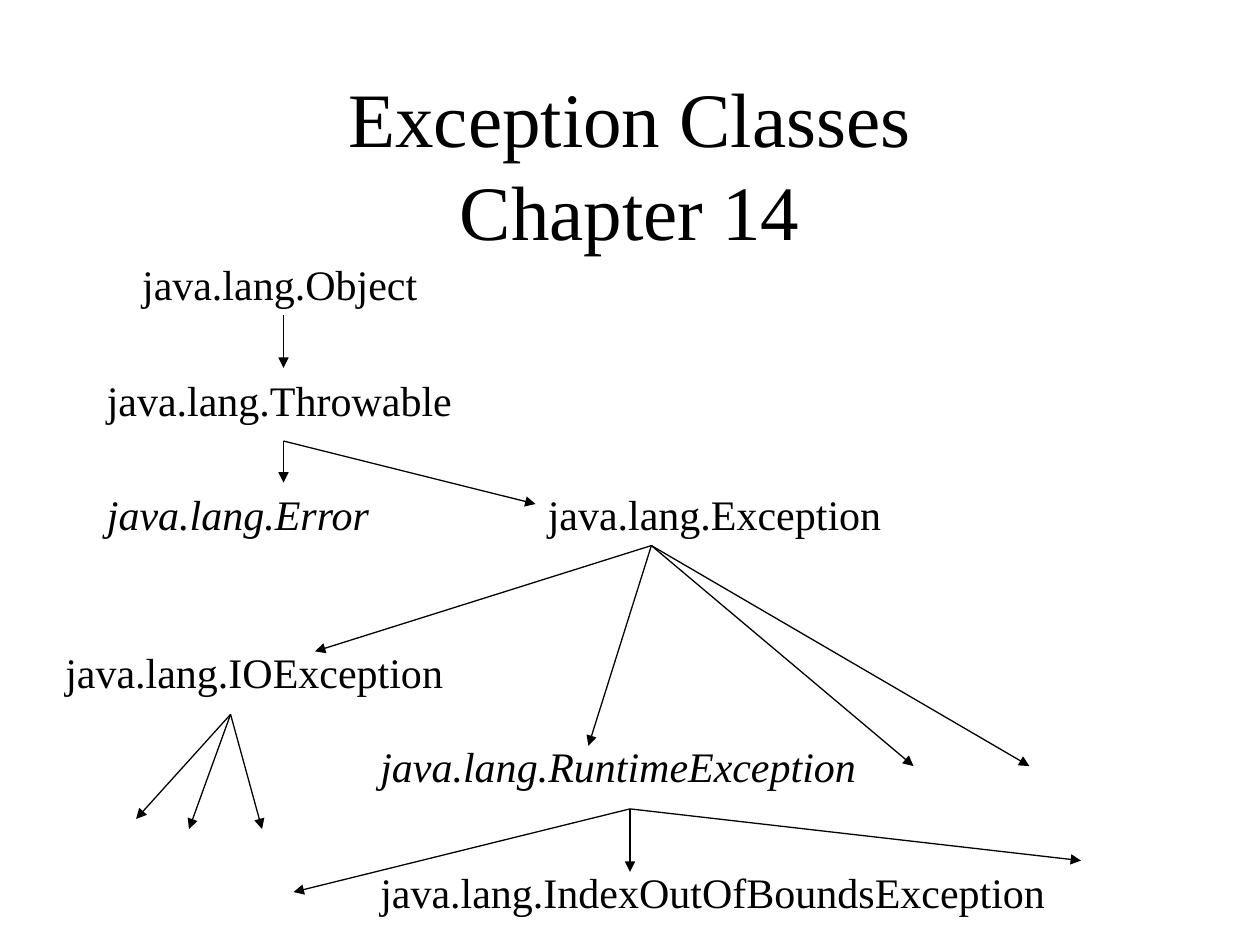
import pptx
import pptx.util
import pptx.dml.color
import pptx.enum.shapes
import pptx.enum.text
import lxml.etree
from pptx.util import Inches


def color(value):
    return pptx.dml.color.RGBColor.from_string(value)


def add_text(box, lines, size, italic=False, centered=False):
    left, top, width, height = box
    shape = slide.shapes.add_textbox(Inches(left), Inches(top), Inches(width), Inches(height))
    frame = shape.text_frame
    frame.word_wrap = centered
    paragraph = frame.paragraphs[0]
    if centered:
        frame.vertical_anchor = pptx.enum.text.MSO_ANCHOR.MIDDLE
        paragraph.alignment = pptx.enum.text.PP_ALIGN.CENTER
    else:
        frame.auto_size = pptx.enum.text.MSO_AUTO_SIZE.SHAPE_TO_FIT_TEXT
    for index, line in enumerate(lines):
        if index:
            paragraph.add_line_break()
        run = paragraph.add_run()
        run.text = line
        run.font.name = "Times New Roman"
        run.font.size = pptx.util.Pt(size)
        run.font.italic = italic
        run.font.color.rgb = color("000000")


presentation = pptx.Presentation()
presentation.slide_width = Inches(10)
presentation.slide_height = Inches(7.5)
slide = presentation.slides.add_slide(presentation.slide_layouts[6])

add_text((0.75, 0.67, 8.5, 1.25), ["Exception Classes", "Chapter 14"], 44, centered=True)

classes = [
    ("Object", 1.03, 2, 2.4, False),
    ("Throwable", 0.75, 2.92, 2.96, False),
    ("Error", 0.75, 3.83, 2.31, True),
    ("Exception", 4.25, 3.83, 2.86, False),
    ("IOException", 0.42, 5.08, 3.22, False),
    ("RuntimeException", 2.92, 5.83, 3.99, True),
    ("IndexOutOfBoundsException", 2.92, 6.83, 5.49, False),
]
for name, left, top, width, italic in classes:
    add_text((left, top, width, 0.5), ["java.lang." + name], 24, italic)

branches = [
    ((2.25, 2.5), [(2.25, 2.92)]),
    ((2.25, 3.5), [(2.25, 3.83), (4.25, 4)]),
    ((5.17, 4.33), [(2.5, 5.17), (4.67, 5.92), (7.25, 6.08), (8.17, 6.08)]),
    ((1.83, 5.67), [(1.08, 6.5), (1.5, 6.58), (2.08, 6.58)]),
    ((5, 6.42), [(5, 6.92), (2.33, 7.08), (8.58, 6.83)]),
]
for (start_x, start_y), ends in branches:
    for end_x, end_y in ends:
        arrow = slide.shapes.add_connector(
            pptx.enum.shapes.MSO_CONNECTOR.STRAIGHT,
            Inches(start_x), Inches(start_y), Inches(end_x), Inches(end_y))
        arrow.line.color.rgb = color("000000")
        arrow.line.width = pptx.util.Pt(0.75)
        properties = arrow.element.spPr
        line = properties.find(pptx.oxml.ns.qn("a:ln"))
        lxml.etree.SubElement(line, pptx.oxml.ns.qn("a:tailEnd"), type="triangle")
        lxml.etree.SubElement(properties, pptx.oxml.ns.qn("a:effectLst"))

presentation.save("out.pptx")
